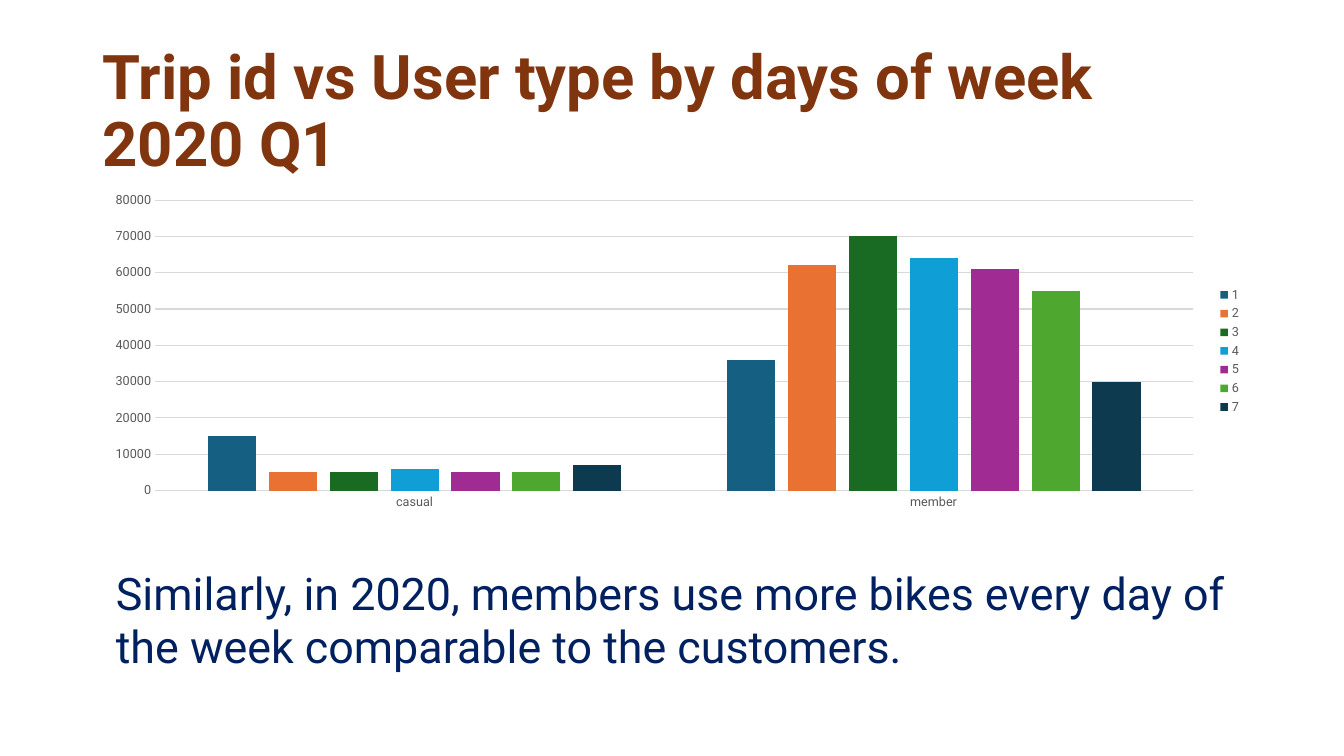
from pptx import Presentation
from pptx.chart.data import CategoryChartData
from pptx.dml.color import RGBColor
from pptx.enum.chart import XL_CHART_TYPE as ChartType
from pptx.enum.chart import XL_LEGEND_POSITION as LegendPosition
from pptx.enum.chart import XL_TICK_MARK as TickMark
from pptx.enum.text import MSO_ANCHOR as Anchor
from pptx.enum.text import MSO_AUTO_SIZE as AutoSize
from pptx.enum.text import PP_ALIGN as Align
from pptx.util import Cm, Pt

FONT = "Roboto"
GREY_TEXT = "595959"
GREY_LINE = "D9D9D9"


def format_font(font, size, color, bold=False):
    font.name = FONT
    font.size = Pt(size)
    font.bold = bold
    font.color.rgb = RGBColor.from_string(color)


def write_text(box, text, size, color, bold=False, anchor=Anchor.TOP,
               line_spacing=1.0, auto_size=AutoSize.NONE):
    frame = box.text_frame
    frame.word_wrap = True
    frame.auto_size = auto_size
    frame.vertical_anchor = anchor
    para = frame.paragraphs[0]
    para.alignment = Align.LEFT
    para.line_spacing = line_spacing
    span = para.add_run()
    span.text = text
    format_font(span.font, size, color, bold)


deck = Presentation()
deck.slide_width, deck.slide_height = Cm(33.87), Cm(19.05)
page = deck.slides.add_slide(deck.slide_layouts[5])

# Title
title = page.shapes.title
title.left, title.top = Cm(2.33), Cm(1.01)
title.width, title.height = Cm(29.21), Cm(3.68)
write_text(title, "Trip id vs User type by days of week 2020 Q1",
           size=44, color="80350E", bold=True, anchor=Anchor.MIDDLE, line_spacing=0.9)

# Trips by user type, one series per day of the week
days = [
    ("1", (15000, 36000), "156082"),
    ("2", (5000, 62000), "E97132"),
    ("3", (5000, 70000), "196B24"),
    ("4", (6000, 64000), "0F9ED5"),
    ("5", (5000, 61000), "A02B93"),
    ("6", (5000, 55000), "4EA72E"),
    ("7", (7000, 30000), "0D3A4E"),
]
trips = CategoryChartData()
trips.categories = ["casual", "member"]
for day, counts, color in days:
    trips.add_series(day, counts)

chart = page.shapes.add_chart(ChartType.COLUMN_CLUSTERED, Cm(2.33), Cm(4.69),
                              Cm(29.21), Cm(8.31), trips).chart
chart.has_title = False
format_font(chart.font, 10, "000000")

plot = chart.plots[0]
plot.vary_by_categories = False
plot.gap_width = 219
plot.overlap = -27
for series, (day, counts, color) in zip(plot.series, days):
    series.format.fill.solid()
    series.format.fill.fore_color.rgb = RGBColor.from_string(color)

# Axes and gridlines
user_axis, trip_axis = chart.category_axis, chart.value_axis
for axis in (user_axis, trip_axis):
    axis.major_tick_mark = axis.minor_tick_mark = TickMark.NONE
    format_font(axis.tick_labels.font, 9, GREY_TEXT)
trip_axis.minimum_scale, trip_axis.maximum_scale = 0, 80000
trip_axis.major_unit = 10000
trip_axis.has_major_gridlines = True
trip_axis.format.line.fill.background()
for line in (user_axis.format.line, trip_axis.major_gridlines.format.line):
    line.color.rgb = RGBColor.from_string(GREY_LINE)
    line.width = Pt(0.75)

# Legend
chart.has_legend = True
chart.legend.position = LegendPosition.RIGHT
chart.legend.include_in_layout = False
format_font(chart.legend.font, 9, GREY_TEXT)

# Conclusion
conclusion = page.shapes.add_textbox(Cm(2.67), Cm(14.12), Cm(28.52), Cm(3))
write_text(conclusion,
           "Similarly, in 2020, members use more bikes every day of the week "
           "comparable to the customers.",
           size=32, color="002060", auto_size=AutoSize.SHAPE_TO_FIT_TEXT)

deck.save("out.pptx")
